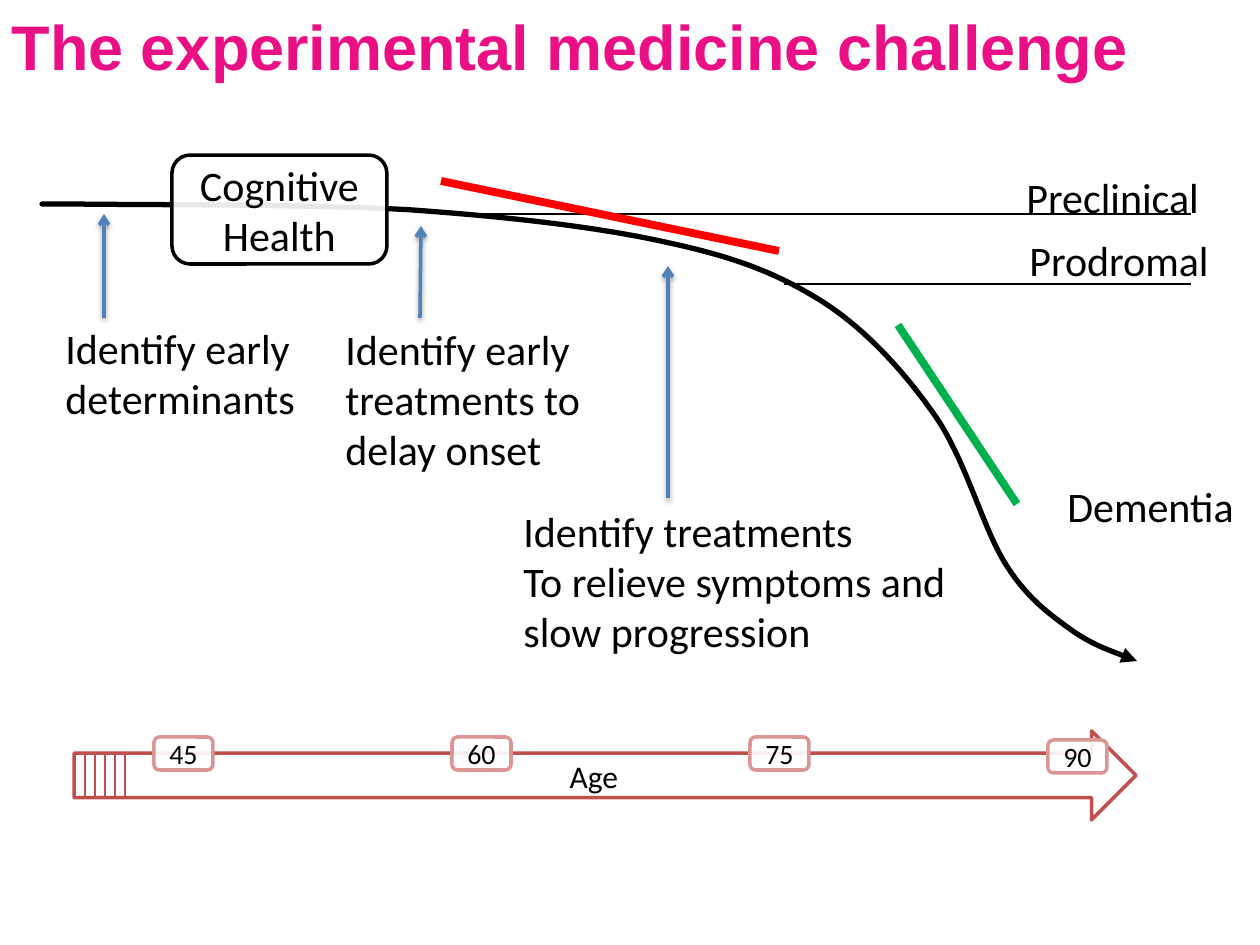
from dataclasses import dataclass
from typing import NamedTuple

from lxml.etree import SubElement
from pptx import Presentation
from pptx.dml.color import RGBColor
from pptx.enum.shapes import MSO_CONNECTOR, MSO_SHAPE
from pptx.enum.text import MSO_ANCHOR, MSO_AUTO_SIZE, PP_ALIGN
from pptx.oxml.ns import qn
from pptx.util import Emu, Pt

EMU_PER_PX = 914400 / 126


@dataclass(frozen=True)
class Theme:
    black: str = "000000"
    white: str = "FFFFFF"
    pink: str = "EB0F86"
    brick: str = "C0504D"
    rose: str = "D99694"
    blue: str = "4F81BD"
    green: str = "00B050"
    red: str = "FF0000"
    head_font: str = "Arial"
    body_font: str = "Calibri"
    title: int = 36
    body: int = 24
    axis: int = 18
    marker: int = 16


THEME = Theme()


class Box(NamedTuple):
    left: int
    top: int
    width: int
    height: int


class Label(NamedTuple):
    box: Box
    lines: list[str]
    wrap: bool = True


class Stroke(NamedTuple):
    start: tuple[int, int]
    end: tuple[int, int]
    color: str
    width: float
    arrow: bool = False


LABELS = [
    Label(Box(1014, 165, 246, 63), ["Preclinical"]),
    Label(Box(1017, 228, 246, 63), ["Prodromal"]),
    Label(Box(1055, 474, 205, 63), ["Dementia"]),
    Label(Box(53, 316, 257, 115), ["Identify early", "determinants"], False),
    Label(Box(333, 317, 312, 165), ["Identify early treatments to delay onset"]),
    Label(Box(511, 499, 461, 165),
          ["Identify treatments", "To relieve symptoms and", "slow progression"], False),
]

STAGE_LINES = [
    Stroke((1191, 284), (784, 284), THEME.black, 0.75),
    Stroke((1191, 214), (481, 214), THEME.black, 0.75),
]
AGE_TICKS = [Stroke((x, 753), (x, 798), THEME.brick, 1.5) for x in range(85, 126, 10)]
POINTERS = [
    Stroke((104, 318), (104, 214), THEME.blue, 2, True),
    Stroke((420, 318), (421, 226), THEME.blue, 2, True),
    Stroke((668, 498), (668, 266), THEME.blue, 2, True),
]
SLOPES = [
    Stroke((898, 325), (1017, 504), THEME.green, 4.5),
    Stroke((441, 181), (779, 251), THEME.red, 4.5),
]

DECLINE_START = (54, 204)
# Each Bézier segment: two control points, then the end point.
DECLINE = [
    ((55, 204), (15, 204), (74, 204)),
    ((134, 205), (314, 204), (412, 210)),
    ((510, 217), (597, 227), (665, 242)),
    ((735, 257), (777, 273), (823, 302)),
    ((868, 331), (906, 374), (936, 417)),
    ((966, 461), (983, 528), (1005, 563)),
    ((1026, 597), (1048, 613), (1070, 629)),
    ((1091, 644), (1119, 654), (1137, 661)),
]


def px(n: int) -> Emu:
    return Emu(round(n * EMU_PER_PX))


def emu_box(box: Box) -> list[Emu]:
    return [px(n) for n in box]


def rgb(color: str) -> RGBColor:
    return RGBColor.from_string(color)


def write(tf, lines: list[str], size: int, color: str = THEME.black,
          font: str = THEME.body_font, bold: bool = False, align=PP_ALIGN.LEFT) -> None:
    for i, text in enumerate(lines):
        p = tf.paragraphs[0] if i == 0 else tf.add_paragraph()
        p.text = text
        p.alignment = align
        p.font.name, p.font.size, p.font.bold = font, Pt(size), bold
        p.font.color.rgb = rgb(color)


def add_tail(shape, kind: str) -> None:
    SubElement(shape.line._get_or_add_ln(), qn("a:tailEnd"), type=kind)


def add_stroke(slide, stroke: Stroke) -> None:
    ends = [px(n) for n in (*stroke.start, *stroke.end)]
    line = slide.shapes.add_connector(MSO_CONNECTOR.STRAIGHT, *ends)
    line.line.color.rgb = rgb(stroke.color)
    line.line.width = Pt(stroke.width)
    if stroke.arrow:
        add_tail(line, "arrow")
    effects = SubElement(line._element.spPr, qn("a:effectLst"))
    if stroke.arrow:
        shadow = SubElement(effects, qn("a:outerShdw"), blurRad="40000", dist="20000",
                            dir="5400000", rotWithShape="0")
        color = SubElement(shadow, qn("a:srgbClr"), val=THEME.black)
        SubElement(color, qn("a:alpha"), val="38000")


def add_outlined(slide, kind, box: Box, lines: list[str], size: int,
                 color: str, opacity: int = 100) -> None:
    sp = slide.shapes.add_shape(kind, *emu_box(box))
    sp.shadow.inherit = False
    sp.fill.solid()
    sp.fill.fore_color.rgb = rgb(THEME.white)
    if opacity < 100:
        fill = sp._element.spPr.find(qn("a:solidFill")).find(qn("a:srgbClr"))
        SubElement(fill, qn("a:alpha"), val=str(opacity * 1000))
    sp.line.color.rgb = rgb(color)
    sp.line.width = Pt(2)
    sp.text_frame.vertical_anchor = MSO_ANCHOR.MIDDLE
    write(sp.text_frame, lines, size, align=PP_ALIGN.CENTER)


def add_label(slide, label: Label) -> None:
    tf = slide.shapes.add_textbox(*emu_box(label.box)).text_frame
    tf.word_wrap = label.wrap
    tf.auto_size = MSO_AUTO_SIZE.SHAPE_TO_FIT_TEXT
    write(tf, label.lines, THEME.body)


def add_decline_curve(slide) -> None:
    """Build the outline through the end points, then bend each segment."""
    builder = slide.shapes.build_freeform(*DECLINE_START, scale=EMU_PER_PX)
    builder.add_line_segments([segment[-1] for segment in DECLINE], close=False)
    sp = builder.convert_to_shape()
    left, top = DECLINE_START
    for segment, node in zip(DECLINE, list(sp._element.iter(qn("a:lnTo")))):
        curve = node.makeelement(qn("a:cubicBezTo"))
        for x, y in segment:
            SubElement(curve, qn("a:pt"), x=str(x - left), y=str(y - top))
        node.getparent().replace(node, curve)
    sp.shadow.inherit = False
    sp.fill.background()
    sp.line.color.rgb = rgb(THEME.black)
    sp.line.width = Pt(3)
    add_tail(sp, "triangle")


def add_title(slide, text: str) -> None:
    title = slide.shapes.title
    title.left, title.top, title.width, title.height = emu_box(Box(-1, 1, 1261, 89))
    tf = title.text_frame
    tf.vertical_anchor = MSO_ANCHOR.TOP
    tf.auto_size = MSO_AUTO_SIZE.SHAPE_TO_FIT_TEXT
    write(tf, [text], THEME.title, THEME.pink, THEME.head_font, bold=True)


def main() -> None:
    prs = Presentation()
    prs.slide_width, prs.slide_height = px(1260), px(945)
    slide = prs.slides.add_slide(prs.slide_layouts[5])
    add_title(slide, "The experimental medicine challenge")
    add_outlined(slide, MSO_SHAPE.RIGHT_ARROW, Box(74, 731, 1062, 89),
                 ["Age"], THEME.axis, THEME.brick)
    add_decline_curve(slide)
    for i, age in enumerate(range(45, 91, 15)):
        top = 740 if age == 90 else 737
        add_outlined(slide, MSO_SHAPE.ROUNDED_RECTANGLE, Box(154 + 298 * i, top, 59, 33),
                     [str(age)], THEME.marker, THEME.rose, 91)
    for stroke in STAGE_LINES:
        add_stroke(slide, stroke)
    add_outlined(slide, MSO_SHAPE.ROUNDED_RECTANGLE, Box(172, 155, 215, 109),
                 ["Cognitive", "Health"], THEME.body, THEME.black, 91)
    for label in LABELS:
        add_label(slide, label)
    for stroke in AGE_TICKS + POINTERS + SLOPES:
        add_stroke(slide, stroke)
    prs.save("out.pptx")


if __name__ == "__main__":
    main()
